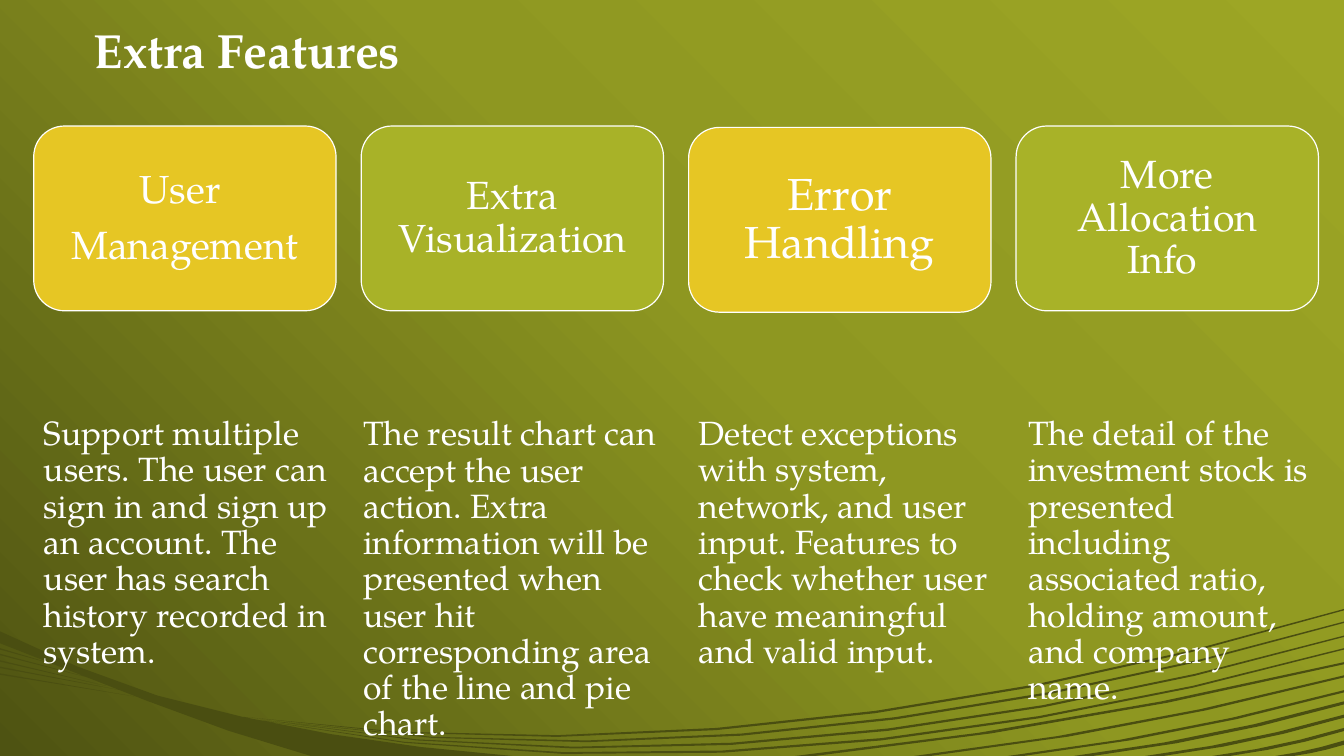
from copy import deepcopy
from typing import NamedTuple

from pptx import Presentation
from pptx.dml.color import RGBColor
from pptx.enum.shapes import MSO_SHAPE
from pptx.enum.text import MSO_ANCHOR, MSO_AUTO_SIZE, PP_ALIGN
from pptx.oxml.ns import qn
from pptx.util import Pt

ROUNDED = MSO_SHAPE.ROUNDED_RECTANGLE
TOP, MIDDLE, BOTTOM = MSO_ANCHOR.TOP, MSO_ANCHOR.MIDDLE, MSO_ANCHOR.BOTTOM
LEFT, CENTER = PP_ALIGN.LEFT, PP_ALIGN.CENTER
GROW = MSO_AUTO_SIZE.SHAPE_TO_FIT_TEXT

WIDTH, HEIGHT = 960, 540
FONT = "TeX Gyre Pagella"
WHITE, YELLOW, GREEN, WAVE = "FFFFFF", "E6C624", "A8B228", "4A4E11"
GRADIENT = [(0, "9DA625"), (0.45, "8E9721"), (1, "4E5312")]
CARD_LEFT, CARD_STEP, CARD_W, CARD_H = 24.1, 233.9, 216, 132
CARD_INSET = 12.3
Point = tuple[float, float]


class Feature(NamedTuple):
    heading: list[str]
    size: float
    color: str
    top: float
    body: str
    body_left: float
    body_width: float
    body_height: float


class Strand(NamedTuple):
    """Long thin line from the wedge to the right edge."""
    tail: Point
    c1: Point
    c2: Point
    head_y: float


class Band(NamedTuple):
    """Stripe rising from the bottom edge to the right edge."""
    foot: float
    foot_width: float
    head_y: float
    head_height: float


FEATURES = [
    Feature(["User ", "Management"], 28, YELLOW, 90,
            "Support multiple users. The user can sign in and sign up an account. "
            "The user has search history recorded in system.", 24.2, 222, 191),
    Feature(["Extra Visualization"], 28, GREEN, 90,
            "The result chart can accept the user action. Extra information will be "
            "presented when user hit corresponding area of the line and pie chart.",
            252.4, 228, 217),
    Feature(["Error Handling"], 32, YELLOW, 91,
            "Detect exceptions with system, network, and user input. Features to check "
            "whether user have meaningful and valid input.", 491.9, 234, 191),
    Feature(["More Allocation Info "], 28, GREEN, 90,
            "The detail of the investment stock is presented including associated ratio, "
            "holding amount, and company name.", 727.4, 222, 164),
]
STRANDS = [
    Strand((173, 512), (432, 547), (706, 510), 435),
    Strand((199, 515.5), (454, 551), (719, 513), 444),
    Strand((186, 514), (445, 558), (715, 523), 454),
    Strand((176, 513), (437, 564), (712, 531), 463),
]
BANDS = [
    Band(568, 14, 473, 1.5), Band(653, 11.5, 482.4, 1.5), Band(720, 11, 493, 1.6),
    Band(767, 13.5, 501, 2.2), Band(818, 13, 510.5, 2.2), Band(866, 12.4, 520, 2.2),
    Band(911, 13, 529, 3),
]
# Hairlines at the left edge: start height and end point
HAIRLINES = [(463, (40, 475)), (467, (65.5, 484.6)), (471.6, (76, 490)),
             (476.2, (86, 493)), (481, (96, 497.5))]


def rgb(color: str) -> RGBColor:
    return RGBColor.from_string(color)


def bezier(a: Point, b: Point, c: Point, d: Point, steps: int) -> list[Point]:
    points = []
    for i in range(steps + 1):
        t = i / steps
        u = 1 - t
        weights = (u**3, 3 * u * u * t, 3 * u * t * t, t**3)
        points.append(tuple(sum(w * p[k] for w, p in zip(weights, (a, b, c, d)))
                            for k in (0, 1)))
    return points


def lower(p: Point, dy: float) -> Point:
    return p[0], p[1] + dy


def strand_outline(strand: Strand) -> list[Point]:
    head = (WIDTH, strand.head_y)
    upper = bezier(strand.tail, strand.c1, strand.c2, head, 7)
    under = bezier(lower(head, 1), lower(strand.c2, 2), lower(strand.c1, 2),
                   strand.tail, 7)
    return upper + under[:-1]


def band_edge(foot: float, head_y: float) -> list[Point]:
    span, rise = WIDTH - foot, HEIGHT - head_y
    return bezier((foot, HEIGHT), (foot + span / 3, HEIGHT - 0.2 * rise),
                  (foot + span * 2 / 3, HEIGHT - 0.54 * rise), (WIDTH, head_y), 3)


def band_outline(band: Band) -> list[Point]:
    under = band_edge(band.foot + band.foot_width, band.head_y + band.head_height)
    return band_edge(band.foot, band.head_y) + under[::-1]


def write(shape, lines: list[str], size: float, anchor, align=LEFT, inset=None,
          bold: bool = False, after: float = 0) -> None:
    tf = shape.text_frame
    tf.word_wrap = True
    tf.vertical_anchor = anchor
    if inset is not None:
        tf.margin_left = tf.margin_right = Pt(inset)
        tf.margin_top = tf.margin_bottom = Pt(inset)
    for i, line in enumerate(lines):
        p = tf.paragraphs[0] if i == 0 else tf.add_paragraph()
        p.alignment, p.line_spacing, p.space_after = align, 0.9, Pt(after)
        r = p.add_run()
        r.text = line
        r.font.name, r.font.size, r.font.bold = FONT, Pt(size), bold
        r.font.color.rgb = rgb(WHITE)


def add_text(s, left: float, top: float, width: float, height: float,
             line: str, size: float, anchor, bold: bool = False):
    box = s.shapes.add_textbox(Pt(left), Pt(top), Pt(width), Pt(height))
    write(box, [line], size, anchor, bold=bold)
    return box


def add_background(s) -> None:
    fill = s.background.fill
    fill.gradient()
    fill.gradient_angle = 225
    stops = s._element.find(".//" + qn("a:gsLst"))
    stops.append(deepcopy(stops[-1]))
    for stop, (position, color) in zip(fill.gradient_stops, GRADIENT):
        stop.position = position
        stop.color.rgb = rgb(color)


def add_waves(s) -> None:
    wedge = (bezier((0, 451), (55, 478), (110, 500), (173, 512), 3)
             + bezier((173, 512), (235, 526), (301, 535), (366, HEIGHT), 3)[1:]
             + bezier((222, HEIGHT), (182, 529), (144, 516), (106, 501), 2)
             + [(0, 459.5)])
    outlines = [wedge]
    outlines += [[(0, y), end, (0, y + 1)] for y, end in HAIRLINES]
    outlines += [strand_outline(strand) for strand in STRANDS]
    outlines += [band_outline(band) for band in BANDS]
    builder = s.shapes.build_freeform(0, Pt(451), scale=1.0)
    for i, outline in enumerate(outlines):
        points = [(Pt(x), Pt(y)) for x, y in outline]
        if i:
            builder.move_to(*points[0])
        builder.add_line_segments(points[1:], close=True)
    waves = builder.convert_to_shape()
    waves.shadow.inherit = False
    waves.fill.solid()
    waves.fill.fore_color.rgb = rgb(WAVE)
    waves.line.fill.background()


def add_feature(s, index: int, feature: Feature) -> None:
    card = s.shapes.add_shape(ROUNDED, Pt(CARD_LEFT + index * CARD_STEP),
                              Pt(feature.top), Pt(CARD_W), Pt(CARD_H))
    card.shadow.inherit = False
    card.fill.solid()
    card.fill.fore_color.rgb = rgb(feature.color)
    card.line.color.rgb = rgb(WHITE)
    card.line.width = Pt(0.85)
    write(card, feature.heading, feature.size, MIDDLE, CENTER, CARD_INSET,
          after=0.35 * feature.size)
    body = add_text(s, feature.body_left, 294.1, feature.body_width,
                    feature.body_height, feature.body, 24, TOP)
    body.text_frame.auto_size = GROW


prs = Presentation()
prs.slide_width, prs.slide_height = Pt(WIDTH), Pt(HEIGHT)
s = prs.slides.add_slide(prs.slide_layouts[6])

# Backdrop
add_background(s)
add_waves(s)

# Title and feature columns
add_text(s, 60, 31.7, 720, 28, "Extra Features", 34.2, BOTTOM, bold=True)
for index, feature in enumerate(FEATURES):
    add_feature(s, index, feature)

prs.save("out.pptx")
